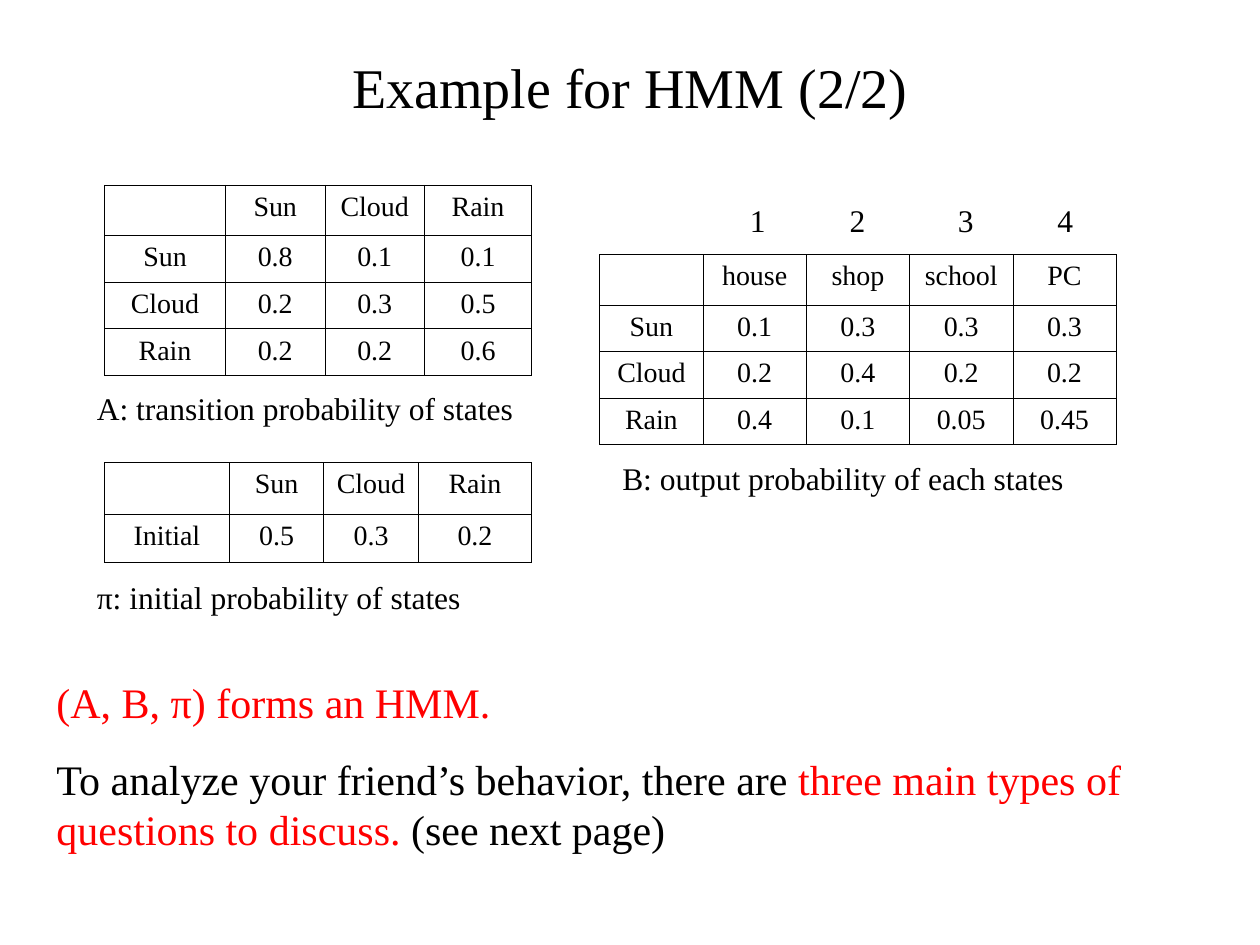
from dataclasses import dataclass

from lxml import etree
from pptx import Presentation
from pptx import util as u
from pptx.dml.color import RGBColor
from pptx.enum import text
from pptx.oxml.ns import qn

BLACK = RGBColor(0x00, 0x00, 0x00)
RED = RGBColor(0xFF, 0x00, 0x00)
FONT = "Times New Roman"
BORDER_WIDTH = u.Pt(0.45)


@dataclass(frozen=True)
class ProbabilityTable:
    left: float
    top: float
    column_widths: list[float]
    row_heights: list[float]
    rows: list[list[str]]


@dataclass(frozen=True)
class Caption:
    left: float
    top: float
    wording: str


TABLES = [
    ProbabilityTable(0.83, 1.47, [0.96, 0.79, 0.79, 0.85], [0.4, 0.37, 0.37, 0.37], [
        ["", "Sun", "Cloud", "Rain"],
        ["Sun", "0.8", "0.1", "0.1"],
        ["Cloud", "0.2", "0.3", "0.5"],
        ["Rain", "0.2", "0.2", "0.6"],
    ]),
    ProbabilityTable(4.76, 2.02, [0.82] * 5, [0.4, 0.37, 0.37, 0.37], [
        ["", "house", "shop", "school", "PC"],
        ["Sun", "0.1", "0.3", "0.3", "0.3"],
        ["Cloud", "0.2", "0.4", "0.2", "0.2"],
        ["Rain", "0.4", "0.1", "0.05", "0.45"],
    ]),
    ProbabilityTable(0.83, 3.67, [0.99, 0.75, 0.75, 0.9], [0.41, 0.38], [
        ["", "Sun", "Cloud", "Rain"],
        ["Initial", "0.5", "0.3", "0.2"],
    ]),
]
CAPTIONS = [
    Caption(0.67, 3.04, "A: transition probability of states"),
    Caption(4.84, 3.59, "B: output probability of each states"),
    Caption(0.67, 4.54, "π: initial probability of states"),
]
OUTPUT_NUMBERS = {"1": 5.71, "2": 6.5, "3": 7.36, "4": 8.15}
CONCLUSION = [
    [("(A, B, π) forms an HMM.", RED)],
    [
        ("To analyze your friend’s behavior, there are ", BLACK),
        ("three main types of questions to discuss.", RED),
        (" (see next page)", BLACK),
    ],
]


def format_run(run, size: float, color: RGBColor = BLACK) -> None:
    run.font.name = FONT
    run.font.size = u.Pt(size)
    run.font.color.rgb = color


def format_paragraph(paragraph, size: float, align=text.PP_ALIGN.LEFT) -> None:
    paragraph.alignment = align
    for run in paragraph.runs:
        format_run(run, size)


def outline_cell(cell) -> None:
    """Draw a thin black line on all four sides of the cell."""
    properties = cell._tc.get_or_add_tcPr()
    for position, side in enumerate(("lnL", "lnR", "lnT", "lnB")):
        line = etree.Element(qn(f"a:{side}"), w=str(BORDER_WIDTH))
        fill = etree.SubElement(line, qn("a:solidFill"))
        etree.SubElement(fill, qn("a:srgbClr"), val=str(BLACK))
        properties.insert(position, line)


def add_probability_table(slide, data: ProbabilityTable) -> None:
    table = slide.shapes.add_table(
        len(data.row_heights), len(data.column_widths),
        u.Inches(data.left), u.Inches(data.top),
        u.Inches(sum(data.column_widths)), u.Inches(sum(data.row_heights)),
    ).table
    table.first_row = False
    table.horz_banding = False
    for column, width in zip(table.columns, data.column_widths):
        column.width = u.Inches(width)
    for row, height, entries in zip(table.rows, data.row_heights, data.rows):
        row.height = u.Inches(height)
        for cell, entry in zip(row.cells, entries):
            cell.fill.background()
            outline_cell(cell)
            paragraph = cell.text_frame.paragraphs[0]
            if entry:
                paragraph.text = entry
                format_paragraph(paragraph, 16, text.PP_ALIGN.CENTER)
            else:
                # Keeps the empty corner cell from stretching its row
                paragraph._p.get_or_add_endParaRPr().set("sz", "1600")


def add_text_frame(slide, left: float, top: float, width: float, height: float):
    frame = slide.shapes.add_textbox(
        u.Inches(left), u.Inches(top), u.Inches(width), u.Inches(height)
    ).text_frame
    frame.word_wrap = True
    return frame


def add_caption(slide, caption: Caption) -> None:
    frame = add_text_frame(slide, caption.left, caption.top, 3.78, 0.4)
    frame.text = caption.wording
    format_paragraph(frame.paragraphs[0], 18)


def add_output_number(slide, number: str, left: float) -> None:
    frame = add_text_frame(slide, left, 1.55, 0.61, 0.39)
    frame.vertical_anchor = text.MSO_ANCHOR.MIDDLE
    frame.text = number
    format_paragraph(frame.paragraphs[0], 18, text.PP_ALIGN.CENTER)


def add_conclusion(slide) -> None:
    frame = add_text_frame(slide, 0.35, 5.32, 9.37, 1.51)
    for index, phrases in enumerate(CONCLUSION):
        if index == 0:
            paragraph = frame.paragraphs[0]
        else:
            paragraph = frame.add_paragraph()
            paragraph.space_before = u.Pt(15)
        for wording, color in phrases:
            run = paragraph.add_run()
            run.text = wording
            format_run(run, 24, color)


def set_title(slide, wording: str) -> None:
    title = slide.shapes.title
    title.left, title.top = u.Inches(0.5), u.Inches(0.3)
    title.width, title.height = u.Inches(9), u.Inches(0.77)
    frame = title.text_frame
    frame.text = wording
    frame.vertical_anchor = text.MSO_ANCHOR.MIDDLE
    format_paragraph(frame.paragraphs[0], 32, text.PP_ALIGN.CENTER)


def main() -> None:
    deck = Presentation()
    deck.slide_width, deck.slide_height = u.Inches(10), u.Inches(7.5)
    slide = deck.slides.add_slide(deck.slide_layouts.get_by_name("Title Only"))
    set_title(slide, "Example for HMM (2/2)")
    for table in TABLES:
        add_probability_table(slide, table)
    for caption in CAPTIONS:
        add_caption(slide, caption)
    add_conclusion(slide)
    for number, left in OUTPUT_NUMBERS.items():
        add_output_number(slide, number, left)
    deck.save("out.pptx")


if __name__ == "__main__":
    main()
